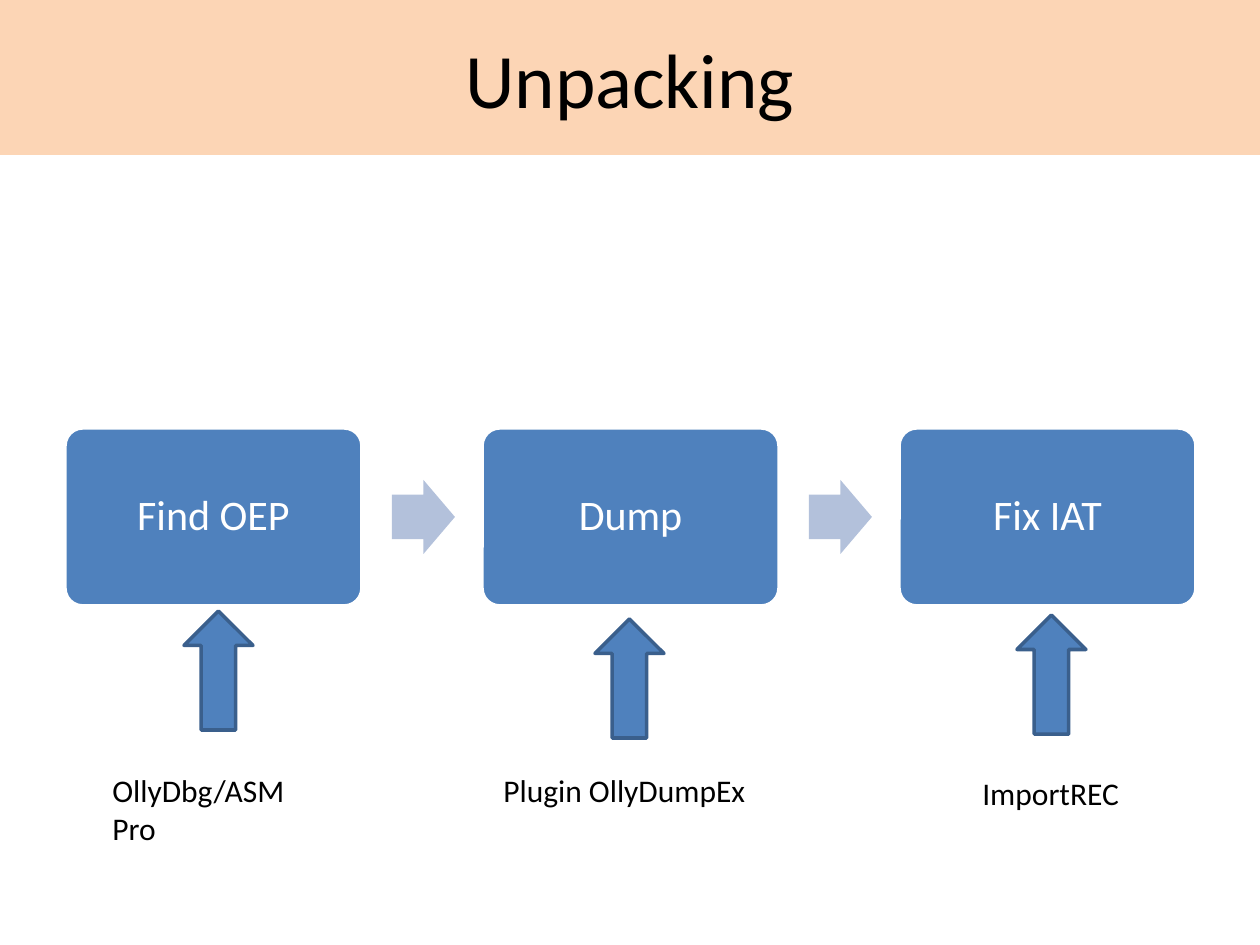
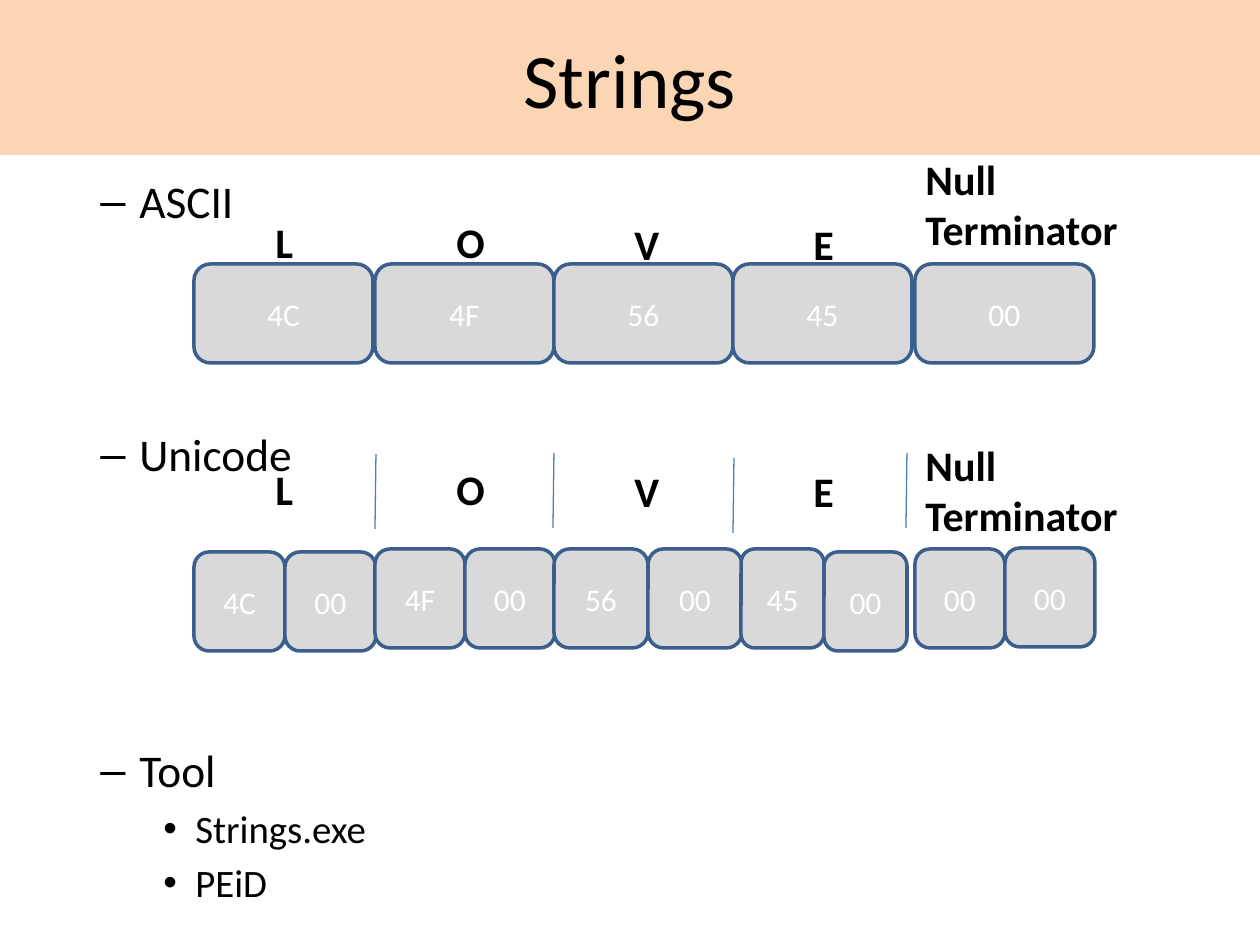
from lxml import etree
from pptx import Presentation
from pptx.dml.color import RGBColor
from pptx.enum.shapes import MSO_CONNECTOR, MSO_SHAPE
from pptx.enum.text import MSO_ANCHOR, PP_ALIGN
from pptx.oxml.ns import qn
from pptx.util import Pt

PX = 914400 / 126
FONT = "Calibri"
BLACK = RGBColor(0x00, 0x00, 0x00)
WHITE = RGBColor(0xFF, 0xFF, 0xFF)
PEACH = RGBColor(0xFC, 0xD5, 0xB5)
BLUE = RGBColor(0x4F, 0x81, 0xBD)
DARK_BLUE = RGBColor(0x3A, 0x5F, 0x8C)
PALE_BLUE = RGBColor(0xB3, 0xC1, 0xDB)
RULE_BLUE = RGBColor(0x4B, 0x7E, 0xBC)
GREY = RGBColor(0xD9, 0xD9, 0xD9)
RECT, ROUND = MSO_SHAPE.RECTANGLE, MSO_SHAPE.ROUNDED_RECTANGLE
RIGHT_ARROW, UP_ARROW = MSO_SHAPE.RIGHT_ARROW, MSO_SHAPE.UP_ARROW
STRAIGHT = MSO_CONNECTOR.STRAIGHT
CENTER, LEFT = PP_ALIGN.CENTER, PP_ALIGN.LEFT
MIDDLE, TOP = MSO_ANCHOR.MIDDLE, MSO_ANCHOR.TOP


def add_shape(s, kind, box, fill, line=None, adj=()):
    sp = s.shapes.add_shape(kind, *[round(v * PX) for v in box])
    sp.shadow.inherit = False
    sp.fill.solid()
    sp.fill.fore_color.rgb = fill
    if line is None:
        sp.line.fill.background()
    else:
        sp.line.color.rgb = line
        sp.line.width = Pt(2)
    for i, value in enumerate(adj):
        sp.adjustments[i] = value
    return sp


def write(sp, lines, size, color=BLACK, align=LEFT, anchor=TOP, wrap=True, bold=False):
    tf = sp.text_frame
    tf.word_wrap = wrap
    tf.vertical_anchor = anchor
    for i, line in enumerate(lines):
        p = tf.paragraphs[0] if i == 0 else tf.add_paragraph()
        p.alignment = align
        r = p.add_run()
        r.text = line
        style = {"name": FONT, "size": Pt(size), "bold": bold}
        for name, value in style.items():
            setattr(r.font, name, value)
        r.font.color.rgb = color
    return tf


prs = Presentation()
prs.slide_width, prs.slide_height = round(1260 * PX), round(945 * PX)

# Slides with their title bands
slides = []
for title in ("Unpacking", "Strings"):
    s = prs.slides.add_slide(prs.slide_layouts[6])
    band = add_shape(s, RECT, (0, 0, 1260, 155), PEACH)
    write(band, [title], 44, align=CENTER, anchor=MIDDLE)
    slides.append(s)
unpacking, strings = slides

# Unpacking: three steps joined by arrows
STEP_LEFT, STEP_PITCH = 65, 417
steps = ["Find OEP", "Dump", "Fix IAT"]
for i, step in enumerate(steps):
    x = STEP_LEFT + i * STEP_PITCH
    sp = add_shape(unpacking, ROUND, (x, 428, 297, 178), BLUE, WHITE, [0.1])
    tf = write(sp, [step], 24, WHITE, CENTER, MIDDLE)
    tf.paragraphs[0].line_spacing = 0.9
    if i < len(steps) - 1:
        add_shape(unpacking, RIGHT_ARROW, (x + 327, 480, 63, 74), PALE_BLUE, adj=[0.6, 0.5])

# Unpacking: the tool used for each step (name, label box, arrow corner)
tools = [
    ("OllyDbg/ASM Pro", (100, 765, 237, 50), (184, 611)),
    ("Plugin OllyDumpEx", (491, 765, 267, 50), (595, 619)),
    ("ImportREC", (970, 768, 164, 50), (1017, 615)),
]
for name, box, (x, y) in tools:
    add_shape(unpacking, UP_ARROW, (x, y, 69, 119), BLUE, DARK_BLUE)
    label = unpacking.shapes.add_textbox(*[round(v * PX) for v in box])
    write(label, [name], 18, wrap=False)

# Strings: bullet list (text, bullet, size, space before, indent, hanging)
bullets = [
    ("ASCII", "–", 25.9, 0, 102, 39),
    ("Unicode", "–", 25.9, 113.5, 102, 39),
    ("Tool", "–", 25.9, 149.5, 102, 39),
    ("Strings.exe", "•", 22.2, 4.4, 158, 32),
    ("PEiD", "•", 22.2, 4.4, 158, 32),
]
body = strings.shapes.add_textbox(*[round(v * PX) for v in (25, 167, 1211, 704)])
tf = body.text_frame
tf.word_wrap = True
for i, (text, char, size, before, indent, hanging) in enumerate(bullets):
    p = tf.paragraphs[0] if i == 0 else tf.add_paragraph()
    pPr = p._p.get_or_add_pPr()
    pPr.set("marL", str(round(indent * PX)))
    pPr.set("indent", str(round(-hanging * PX)))
    etree.SubElement(pPr, qn("a:buFont")).set("typeface", "Arial")
    etree.SubElement(pPr, qn("a:buChar")).set("char", char)
    p.space_before = Pt(before)
    r = p.add_run()
    r.text = text
    r.font.name, r.font.size = FONT, Pt(size)
    r.font.color.rgb = BLACK

# Strings: byte cells, one per ASCII character and two per Unicode character
# (hex code, ASCII left, Unicode left, Unicode width, tops of the two cells)
codes = [
    ("4C", 194, 194, 91, (552, 552)),
    ("4F", 375, 375, 90, (549, 549)),
    ("56", 554, 554, 94, (549, 549)),
    ("45", 733, 741, 83, (549, 552)),
    ("00", 915, 915, 90, (549, 548)),
]
for code, ascii_x, wide_x, wide_w, tops in codes:
    cells = [(code, (ascii_x, 264, 179, 99))]
    for i, (byte, y) in enumerate(zip((code, "00"), tops)):
        cells.append((byte, (wide_x + i * wide_w, y, wide_w, 99)))
    for byte, box in cells:
        sp = add_shape(strings, ROUND, box, GREY, DARK_BLUE)
        write(sp, [byte], 18, WHITE, CENTER, MIDDLE)

# Strings: headings above both rows (lines, left, width, ASCII top, Unicode top)
headings = [
    (["L"], 263, 43, 210, 457),
    (["O"], 444, 54, 210, 457),
    (["V"], 622, 50, 212, 459),
    (["E"], 801, 47, 212, 459),
    (["Null", "Terminator"], 913, 242, 147, 433),
]
for lines, x, w, *tops in headings:
    for y in tops:
        h = 13 + 50 * len(lines)
        label = strings.shapes.add_textbox(*[round(v * PX) for v in (x, y, w, h)])
        write(label, lines, 24, wrap=len(lines) > 1, bold=True)

# Strings: rules between the Unicode characters
for x, y in ((375, 529), (553, 528), (733, 533), (906, 528)):
    ends = [round(v * PX) for v in (x, y, x + 1, y - 75)]
    rule = strings.shapes.add_connector(STRAIGHT, *ends)
    rule.line.color.rgb = RULE_BLUE
    rule.line.width = Pt(0.75)
    etree.SubElement(rule._element.spPr, qn("a:effectLst"))

prs.save("out.pptx")
